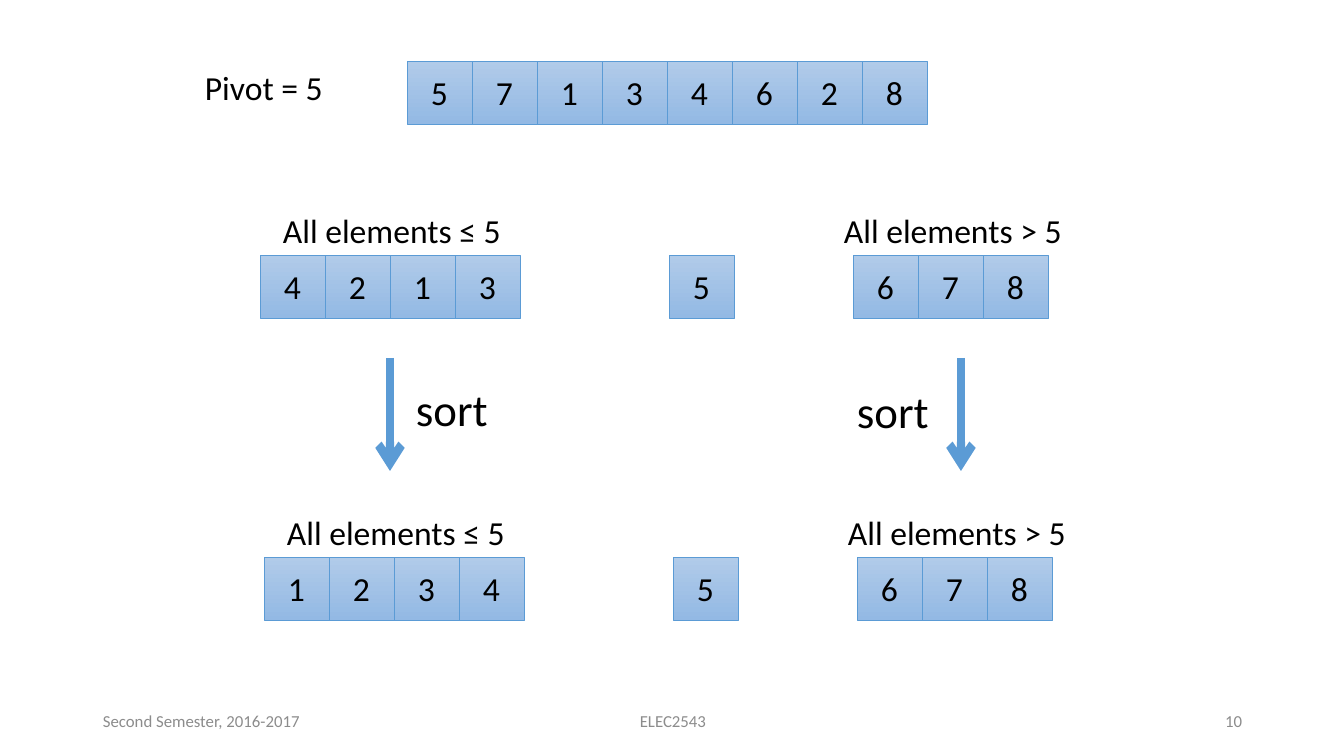
from lxml import etree
from pptx import Presentation
from pptx import util as u
from pptx.dml.color import RGBColor
from pptx.enum import shapes, text
from pptx.oxml.ns import qn

PX = 914400 / 100.8
BLACK = RGBColor(0x00, 0x00, 0x00)
GREY = RGBColor(0x8C, 0x8C, 0x8C)
BLUE = RGBColor(0x5B, 0x9B, 0xD5)
CELL_TOP = RGBColor(0xB1, 0xCB, 0xE9)
CELL_BOTTOM = RGBColor(0x93, 0xB9, 0xE4)
CELL_W, CELL_H = 65, 63
LEFT, CENTER, RIGHT = text.PP_ALIGN.LEFT, text.PP_ALIGN.CENTER, text.PP_ALIGN.RIGHT


def emu(*pixels):
    """Turn pixel lengths into EMU."""
    return [u.Emu(round(length * PX)) for length in pixels]


def write(shape, words, size, color=BLACK, align=LEFT):
    """Put one formatted line of words into a shape."""
    shape.text_frame.text = words
    line = shape.text_frame.paragraphs[0]
    line.alignment = align
    font = line.runs[0].font
    font.name, font.size, font.color.rgb = "Calibri", u.Pt(size), color


def add_label(parent, box, words, size=24, wrap=False, **style):
    """Add a text box and return it."""
    label = parent.add_textbox(*emu(*box))
    write(label, words, size, **style)
    label.text_frame.word_wrap = wrap
    return label


def add_cells(parent, left, top, values):
    """Draw an array as a row of touching cells."""
    for index, value in enumerate(values):
        cell = parent.add_shape(shapes.MSO_SHAPE.RECTANGLE,
                                *emu(left + index * CELL_W, top, CELL_W, CELL_H))
        cell.shadow.inherit = False
        cell.fill.gradient()
        cell.fill.gradient_angle = 270
        for stop, color in zip(cell.fill.gradient_stops, (CELL_TOP, CELL_BOTTOM)):
            stop.color.rgb = color
        cell.line.color.rgb = BLUE
        cell.line.width = u.Pt(0.5)
        write(cell, str(value), 24, align=CENTER)
        cell.text_frame.vertical_anchor = text.MSO_ANCHOR.MIDDLE


def add_input(slide, left, top):
    """Draw the pivot label and the unsorted array."""
    add_cells(slide.shapes, left + 212, top, (5, 7, 1, 3, 4, 6, 2, 8))
    add_label(slide.shapes, (left, top + 1, 140, 50), "Pivot = 5")


def add_partition(slide, left, top, smaller, larger):
    """Draw the pivot between its two captioned parts."""
    parts = slide.shapes.add_group_shape().shapes
    for offset, values in ((0, smaller), (409, (5,)), (593, larger)):
        add_cells(parts, left + offset, top + 50, values)
    for offset, caption in ((13, "All elements ≤ 5"), (574, "All elements > 5")):
        add_label(parts, (left + offset, top, 241, 50), caption)


def add_sort_step(slide, left, top):
    """Draw the two sort arrows with their labels."""
    step = slide.shapes.add_group_shape().shapes
    for offset in (0, 571):
        arrow = step.add_connector(shapes.MSO_CONNECTOR.STRAIGHT,
                                   *emu(left + offset, top, left + offset, top + 113))
        arrow.line.color.rgb = BLUE
        arrow.line.width = u.Pt(6)
        etree.SubElement(arrow.line._get_or_add_ln(), qn("a:tailEnd"), type="arrow")
        etree.SubElement(arrow._element.spPr, qn("a:effectLst"))
    for offset, drop in ((16, 19), (457, 21)):
        add_label(step, (left + offset, top + drop, 98, 64), "sort", 32, wrap=True)


def add_footer(slide, left, top):
    """Write the term, course code and page number."""
    for offset, width, words, align in ((0, 302, "Second Semester, 2016-2017", LEFT),
                                        (353, 454, "ELEC2543", CENTER),
                                        (857, 302, "10", RIGHT)):
        note = add_label(slide.shapes, (left + offset, top, width, 40), words, 12,
                         wrap=True, color=GREY, align=align)
        note.text_frame.vertical_anchor = text.MSO_ANCHOR.MIDDLE


def main():
    """Build and save the quicksort slide."""
    deck = Presentation()
    deck.slide_width, deck.slide_height = emu(1344, 756)
    slide = deck.slides.add_slide(deck.slide_layouts[6])
    add_input(slide, 195, 61)
    add_partition(slide, 260, 205, (4, 2, 1, 3), (6, 7, 8))
    add_footer(slide, 93, 701)
    add_sort_step(slide, 390, 358)
    add_partition(slide, 264, 507, (1, 2, 3, 4), (6, 7, 8))
    deck.save("out.pptx")


main()
